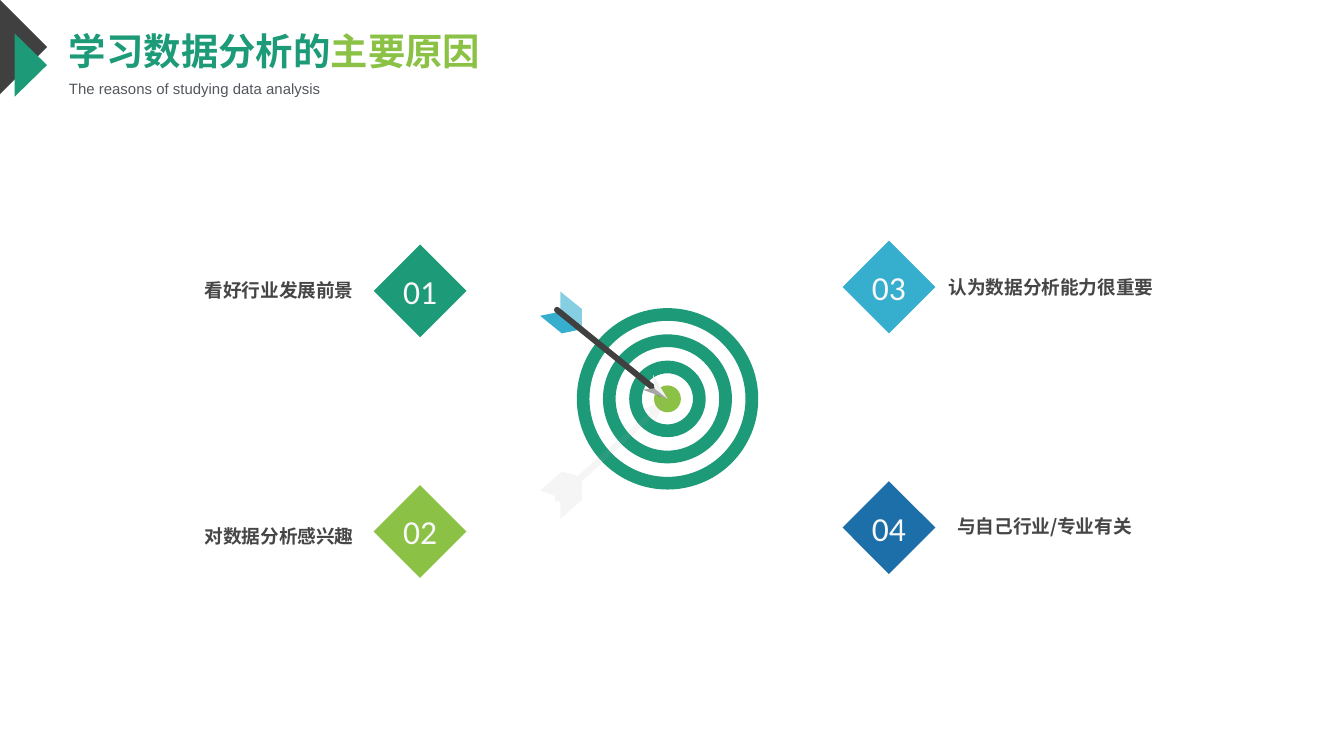
from pptx import Presentation
from pptx.dml.color import RGBColor
from pptx.enum.shapes import MSO_CONNECTOR, MSO_SHAPE
from pptx.enum.text import MSO_ANCHOR, MSO_AUTO_SIZE, PP_ALIGN
from pptx.oxml.ns import qn
from pptx.util import Pt
from lxml.etree import SubElement

GREEN = RGBColor(0x1D, 0x9A, 0x78)
LIME = RGBColor(0x8B, 0xC1, 0x45)
SKY = RGBColor(0x36, 0xAF, 0xCE)
PALE_SKY = RGBColor(0x86, 0xCF, 0xE2)
BLUE = RGBColor(0x1D, 0x6F, 0xA9)
DARK = RGBColor(0x40, 0x40, 0x40)
LABEL = RGBColor(0x46, 0x46, 0x46)
SLATE = RGBColor(0x53, 0x58, 0x5E)
GRAY = RGBColor(0xA6, 0xA6, 0xA6)
PALE = RGBColor(0xF2, 0xF2, 0xF2)
OFF_WHITE = RGBColor(0xF8, 0xF8, 0xF8)
WHITE = RGBColor(0xFF, 0xFF, 0xFF)

CJK_FONT = "Noto Sans CJK SC"
CENTER_X, CENTER_Y = 357.6, 213.7
DIAMOND = 49.7
ROW_GAP = 128.9


class SlideBuilder:
    def __init__(self, slide):
        self.slide = slide
        self.shapes = slide.shapes

    def style(self, paragraph, font_name, size, color, bold=False, align=PP_ALIGN.LEFT):
        paragraph.alignment = align
        font = paragraph.font
        font.name, font.size, font.bold = font_name, Pt(size), bold
        font.color.rgb = color
        properties = paragraph._p.pPr.find(qn("a:defRPr"))
        SubElement(properties, qn("a:ea")).set("typeface", CJK_FONT)

    def frame(self, shape, anchor=MSO_ANCHOR.TOP):
        frame = shape.text_frame
        frame.margin_left = frame.margin_right = 0
        frame.margin_top = frame.margin_bottom = 0
        frame.word_wrap = True
        frame.auto_size = MSO_AUTO_SIZE.NONE
        frame.vertical_anchor = anchor
        return frame

    def title(self, left, top, width, height, parts):
        shape = self.shapes.title
        shape.left, shape.top = Pt(left), Pt(top)
        shape.width, shape.height = Pt(width), Pt(height)
        paragraph = self.frame(shape).paragraphs[0]
        self.style(paragraph, "Arial Narrow", 20, parts[0][1], True)
        for text, color in parts:
            run = paragraph.add_run()
            run.text = text
            run.font.color.rgb = color

    def text(self, left, top, width, height, text, font_name, size, color,
             bold=False, align=PP_ALIGN.LEFT, spacing=1.0):
        box = self.shapes.add_textbox(Pt(left), Pt(top), Pt(width), Pt(height))
        paragraph = self.frame(box).paragraphs[0]
        paragraph.text = text
        paragraph.line_spacing = spacing
        self.style(paragraph, font_name, size, color, bold, align)

    def paint(self, shape, color):
        shape.shadow.inherit = False
        shape.fill.solid()
        shape.fill.fore_color.rgb = color
        shape.line.fill.background()
        return shape

    def preset(self, kind, left, top, size, color):
        shape = self.shapes.add_shape(kind, Pt(left), Pt(top), Pt(size), Pt(size))
        return self.paint(shape, color)

    def centered(self, kind, diameter, color):
        radius = diameter / 2
        return self.preset(kind, CENTER_X - radius, CENTER_Y - radius, diameter, color)

    def ring(self, diameter, thickness, color):
        self.centered(MSO_SHAPE.DONUT, diameter, color).adjustments[0] = thickness / diameter

    def polygon(self, points, color, alpha=None):
        start, *others = [(Pt(x), Pt(y)) for x, y in points]
        builder = self.shapes.build_freeform(*start)
        builder.add_line_segments(others, close=True)
        shape = self.paint(builder.convert_to_shape(), color)
        if alpha is not None:
            fill_color = shape._element.spPr.find(qn("a:solidFill"))[0]
            SubElement(fill_color, qn("a:alpha")).set("val", str(alpha * 1000))

    def shaft(self, x1, y1, x2, y2, width, color):
        line = self.shapes.add_connector(
            MSO_CONNECTOR.STRAIGHT, Pt(x1), Pt(y1), Pt(x2), Pt(y2))
        line.line.width = Pt(width)
        line.line.color.rgb = color
        properties = line._element.spPr
        properties.find(qn("a:ln")).set("cap", "rnd")
        SubElement(properties, qn("a:effectLst"))

    def diamond(self, left, top, number, color):
        shape = self.preset(MSO_SHAPE.DIAMOND, left, top, DIAMOND, color)
        paragraph = self.frame(shape, MSO_ANCHOR.MIDDLE).paragraphs[0]
        paragraph.text = number
        self.style(paragraph, "Calibri", 18, OFF_WHITE, align=PP_ALIGN.CENTER)


def main():
    presentation = Presentation()
    presentation.slide_width, presentation.slide_height = Pt(720), Pt(405)
    builder = SlideBuilder(presentation.slides.add_slide(presentation.slide_layouts[5]))

    builder.polygon([(0, 0), (25.2, 25.2), (0, 50.4)], DARK)
    builder.polygon([(7.9, 18), (25.2, 34.9), (7.9, 51.8)], GREEN)
    builder.title(36.9, 15.1, 222.5, 24.5, [("学习数据分析的", GREEN), ("主要原因", LIME)])
    builder.text(36.9, 42.5, 142, 9.4, "The reasons of studying data analysis",
                 "Arial", 8, SLATE)

    builder.centered(MSO_SHAPE.OVAL, 96.5, WHITE)
    builder.centered(MSO_SHAPE.OVAL, 14.4, LIME)
    for diameter in (97.2, 69.1, 41):
        builder.ring(diameter, 6.8, GREEN)

    builder.polygon([(311.8, 176.4), (301, 178.6), (289.4, 169.2), (300.2, 167)], SKY)
    builder.polygon([(311.8, 176.4), (311.8, 165.6), (300.2, 156.2), (300.2, 167)], PALE_SKY)
    builder.shaft(298.4, 166, 353.7, 210.8, 3.2, DARK)
    tip = (CENTER_X, CENTER_Y)
    builder.polygon([(344.2, 208.8), tip, (350.6, 208.1)], GRAY)
    builder.polygon([(350.6, 208.1), tip, (349.9, 200.9)], PALE)
    builder.polygon([tip, (349.9, 227.5), (350.6, 222.5), (311.8, 257.8), (311.8, 267.8),
                     (300.2, 277.9), (300.2, 268.6), (297.4, 268.6), (297.4, 265.7),
                     (289.4, 262.8), (301, 252.7), (309.6, 254.9), (348.5, 220.3),
                     (344.2, 219.6)], GRAY, alpha=10)

    columns = [
        (200.2, 131, [("01", GREEN, "看好行业发展前景", 79.2, 146.9),
                      ("02", LIME, "对数据分析感兴趣", 79.2, 278.6)]),
        (451.4, 128.9, [("03", SKY, "认为数据分析能力很重要", 507.6, 145.4),
                        ("04", BLUE, "与自己行业/专业有关", 496.1, 273.6)]),
    ]
    for left, top, reasons in columns:
        for row, (number, color, label, label_left, label_top) in enumerate(reasons):
            builder.diamond(left, top + row * ROW_GAP, number, color)
            builder.text(label_left, label_top, 110.2, 13, label, CJK_FONT, 10, LABEL,
                         True, PP_ALIGN.RIGHT, 1.2)

    presentation.save("out.pptx")


if __name__ == "__main__":
    main()
